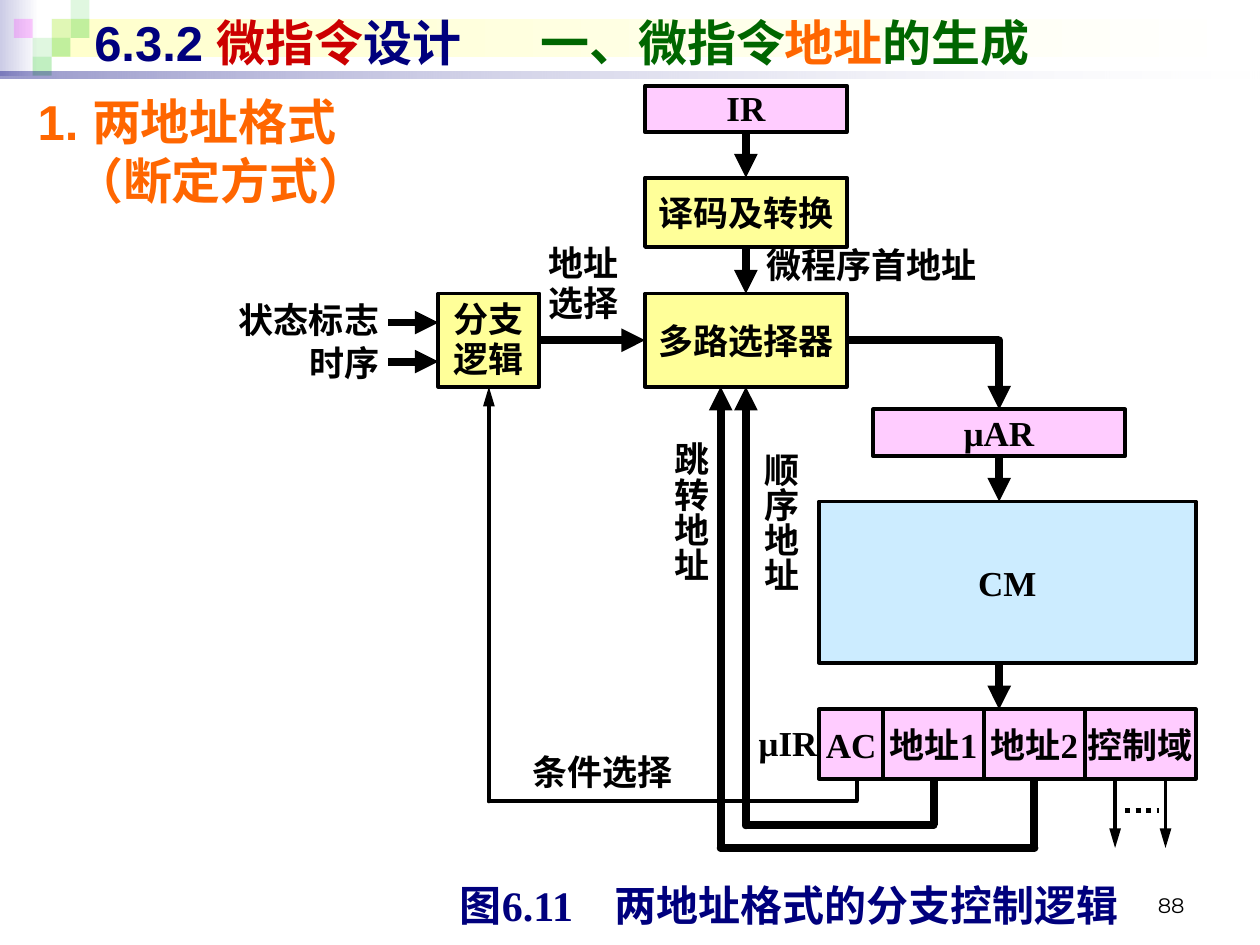
from lxml import etree
from pptx import Presentation
from pptx import util as u
from pptx.dml.color import RGBColor
from pptx.enum import dml, shapes, text
from pptx.oxml import ns

BLACK, NAVY, ORANGE, GREEN = "000000", "00007D", "FF6600", "006600"
PINK, YELLOW, BLUE, WHITE = "FFCCFF", "FFFF99", "CCECFF", "FFFFFF"
SERIF, SANS = "Times New Roman", "Arial"
LEFT, CENTER, RIGHT = text.PP_ALIGN.LEFT, text.PP_ALIGN.CENTER, text.PP_ALIGN.RIGHT
MIDDLE, BOTTOM, TOP = text.MSO_ANCHOR.MIDDLE, text.MSO_ANCHOR.BOTTOM, text.MSO_ANCHOR.TOP
THICK, THIN = 4.5, 2.25


def color(value):
    return RGBColor.from_string(value)


def add_element(parent, tag, **attributes):
    return etree.SubElement(parent, ns.qn(tag), attributes)


def add_alpha(fill_element, percents):
    for element, percent in zip(fill_element.iter(ns.qn("a:srgbClr")), percents):
        add_element(element, "a:alpha", val=str(percent * 1000))


def add_rectangle(slide, at, fill):
    shape = slide.shapes.add_shape(shapes.MSO_SHAPE.RECTANGLE, *map(u.Inches, at))
    shape.shadow.inherit = False
    shape.line.fill.background()
    shape.fill.solid()
    shape.fill.fore_color.rgb = color(fill)
    return shape


def add_gradient(slide, at, start, end, percents=()):
    shape = add_rectangle(slide, at, start)
    shape.fill.gradient()
    shape.fill.gradient_angle = 0
    stops = shape.fill.gradient_stops
    for stop, value, position in zip(stops, (start, end), (0, 1)):
        stop.color.rgb = color(value)
        stop.position = position
    add_alpha(shape._element.spPr, percents)


def add_text(shape, paragraphs, size=20, font=SERIF, bold=True, align=CENTER,
             anchor=MIDDLE, margins=(0, 0, 0, 0), wrap=False, spacing=0.96,
             tab=None, indent=None):
    frame = shape.text_frame
    frame.word_wrap = wrap
    frame.vertical_anchor = anchor
    frame.margin_left, frame.margin_top, frame.margin_right, frame.margin_bottom = map(u.Inches, margins)
    for index, runs in enumerate(paragraphs):
        paragraph = frame.add_paragraph() if index else frame.paragraphs[0]
        paragraph.alignment = align
        paragraph.line_spacing = spacing
        properties = paragraph._p.get_or_add_pPr()
        if tab:
            tabs = add_element(properties, "a:tabLst")
            add_element(tabs, "a:tab", pos=str(u.Inches(tab)), algn="l")
        if indent:
            properties.set("marL", str(u.Inches(indent)))
            properties.set("indent", str(-u.Inches(indent)))
        for content, value in runs:
            if content == "\n":
                paragraph.add_line_break()
                continue
            run = paragraph.add_run()
            run.text = content
            run.font.size = u.Pt(size)
            run.font.name = font
            run.font.bold = bold
            run.font.color.rgb = color(value)


def add_box(slide, at, fill, content, spacing=1, **style):
    shape = add_rectangle(slide, at, fill)
    shape.line.color.rgb = color(BLACK)
    shape.line.width = u.Pt(THIN)
    add_text(shape, [[(content, BLACK)]], spacing=spacing, **style)
    return shape


def add_label(slide, at, paragraphs, **style):
    label = slide.shapes.add_textbox(*map(u.Inches, at))
    add_text(label, paragraphs, **style)
    return label


def add_vertical_label(slide, at, content):
    label = add_label(slide, at, [[(content, BLACK)]], wrap=True)
    label.text_frame.auto_size = text.MSO_AUTO_SIZE.SHAPE_TO_FIT_TEXT
    label.text_frame._txBody.bodyPr.set("vert", "eaVert")


def add_line(slide, start, end, weight):
    line = slide.shapes.add_connector(
        shapes.MSO_CONNECTOR.STRAIGHT, *map(u.Inches, (*start, *end)))
    line.line.color.rgb = color(BLACK)
    line.line.width = u.Pt(weight)
    add_element(line._element.spPr, "a:effectLst")
    return line


def add_route(slide, points, weight=THICK, begin=None, end=None):
    lines = [add_line(slide, *pair, weight) for pair in zip(points, points[1:])]
    for line in lines[1:]:
        line.line._get_or_add_ln().set("cap", "rnd")
    length = "lg" if weight == THIN else "med"
    add_element(lines[-1].line._get_or_add_ln(), "a:tailEnd",
                type="triangle", w="med", len=length)
    if begin:
        lines[0].begin_connect(*begin)
    if end:
        lines[-1].end_connect(*end)


def add_header(slide):
    add_gradient(slide, (0, 0, 0.31, 0.6), "CCCCE6", WHITE)
    add_gradient(slide, (0.41, 0.15, 9.55, 0.3), "FFFFCC", WHITE)
    side = 0.15
    tiles = [(2, 1, "33CC33", 15), (3, 0, "33CC33", 15), (3, 1, "33CC33", 30),
             (1, 2, "33CC33", 15), (0, 1, "FF00FF", 20), (2, 2, "33CC33", 30),
             (1, 3, "33CC33", 30)]
    for column, row, fill, percent in tiles:
        tile = add_rectangle(slide, (0.11 + column * side, row * side, side, side), fill)
        add_alpha(tile._element.spPr, [percent])
    add_gradient(slide, (0, 0.57, 10, 0.05), NAVY, WHITE, (40, 10))
    margins = (0.1, 0.05, 0.1, 0.05)
    title = [("6.3.2 ", NAVY), ("微指令", "CC0000"), ("设计\t", NAVY),
             ("一、微指令", GREEN), ("地址", ORANGE), ("的生成", GREEN)]
    add_label(slide, (0.65, 0.05, 9.23, 0.57), [title], size=28, font=SANS,
              align=LEFT, margins=margins, wrap=True, spacing=1, tab=3.54)
    heading = [("1. 两地址格式", ORANGE), ("\n", ORANGE), ("（断定方式）", ORANGE)]
    add_label(slide, (0.2, 0.68, 9.61, 1.18), [heading], size=28, font=SANS,
              align=LEFT, anchor=TOP, margins=margins, wrap=True, spacing=1, indent=0.29)


def add_diagram(slide):
    register = add_box(slide, (5.12, 0.68, 1.6, 0.37), PINK, "IR", spacing=0.96)
    decoder = add_box(slide, (5.12, 1.41, 1.6, 0.55), YELLOW, "译码及转换")
    selector = add_box(slide, (5.12, 2.33, 1.6, 0.74), YELLOW, "多路选择器")
    branch = add_box(slide, (3.48, 2.33, 0.8, 0.74), YELLOW, "分支逻辑", spacing=0.96,
                     wrap=True, margins=(0.1, 0.05, 0.1, 0.05))
    address = add_box(slide, (6.93, 3.25, 2, 0.37), PINK, "μAR",
                      margins=(0, 0.05, 0, 0.05))
    add_box(slide, (6.5, 3.98, 2.99, 1.28), BLUE, "CM")

    fields = []
    left = 6.5
    for name, width in (("AC", 0.51), ("地址1", 0.8), ("地址2", 0.8), ("控制域", 0.88)):
        fields.append(add_box(slide, (left, 5.63, width, 0.55), PINK, name))
        left += width

    add_route(slide, [(5.92, 1.05), (5.92, 1.41)], begin=(register, 2), end=(decoder, 0))
    add_route(slide, [(5.92, 1.96), (5.92, 2.33)], begin=(decoder, 2), end=(selector, 0))
    add_route(slide, [(4.28, 2.7), (5.12, 2.7)], begin=(branch, 3), end=(selector, 1))
    add_route(slide, [(6.72, 2.7), (7.93, 2.7), (7.93, 3.25)],
              begin=(selector, 3), end=(address, 0))
    add_route(slide, [(7.93, 3.62), (7.93, 3.98)], begin=(address, 2))
    add_route(slide, [(7.93, 5.26), (7.93, 5.63)])
    add_route(slide, [(7.41, 6.18), (7.41, 6.55), (5.92, 6.55), (5.92, 3.07)],
              begin=(fields[1], 2), end=(selector, 2))
    add_route(slide, [(8.21, 6.18), (8.21, 6.73), (5.72, 6.73), (5.72, 3.07)],
              begin=(fields[2], 2))
    add_route(slide, [(6.8, 6.18), (6.8, 6.36), (3.88, 6.36), (3.88, 3.07)],
              THIN, end=(branch, 2))
    for x in (8.85, 9.25):
        add_route(slide, [(x, 6.18), (x, 6.73)], THIN)
    for y in (2.56, 2.87):
        add_route(slide, [(3.08, y), (3.48, y)])
    dots = add_line(slide, (8.93, 6.43), (9.2, 6.43), 3)
    dots.line.dash_style = dml.MSO_LINE.ROUND_DOT


def add_labels(slide):
    labels = [
        ((4.13, 6, 1.31, 0.28), ["条件选择"], CENTER),
        ((5.98, 5.63, 0.55, 0.55), ["μIR"], CENTER),
        ((4.34, 1.94, 0.58, 0.64), ["地址", "选择"], CENTER),
        ((6.08, 1.94, 2.07, 0.35), ["微程序首地址"], LEFT),
        ((1.78, 2.35, 1.23, 0.4), ["状态标志"], RIGHT),
        ((1.78, 2.69, 1.23, 0.4), ["时序"], RIGHT),
    ]
    for at, lines, align in labels:
        add_label(slide, at, [[(line, BLACK)] for line in lines], align=align)
    add_vertical_label(slide, (5.31, 3.51, 0.32, 1.37), "跳转地址")
    add_vertical_label(slide, (6.02, 3.59, 0.32, 1.18), "顺序地址")
    caption = add_rectangle(slide, (3.5, 6.98, 5.51, 0.43), WHITE)
    add_text(caption, [[("图6.11\t两地址格式的分支控制逻辑", NAVY)]], size=24,
             align=LEFT, margins=(0.15, 0, 0, 0), wrap=True, tab=1.23)
    add_label(slide, (7.17, 6.83, 2.33, 0.5), [[("88", BLACK)]], size=12,
              font="Montserrat", bold=False, align=RIGHT, anchor=BOTTOM,
              margins=(0.1, 0.05, 0.1, 0.05), wrap=True, spacing=1)


def main():
    presentation = Presentation()
    presentation.slide_width = u.Inches(10)
    presentation.slide_height = u.Inches(7.5)
    slide = presentation.slides.add_slide(presentation.slide_layouts[6])
    add_header(slide)
    add_diagram(slide)
    add_labels(slide)
    presentation.save("out.pptx")


if __name__ == "__main__":
    main()
